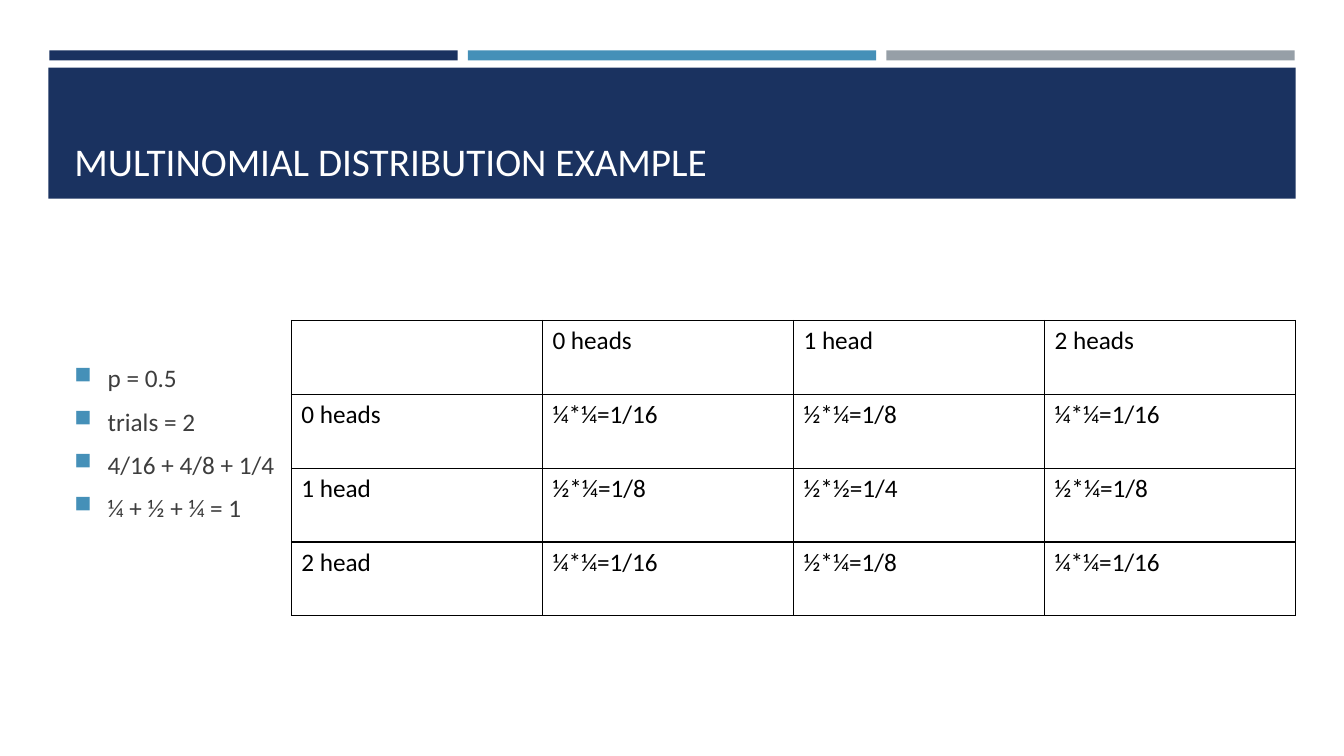
from lxml.etree import SubElement
from pptx import Presentation
from pptx.dml.color import RGBColor
from pptx.enum.shapes import MSO_SHAPE as Shape
from pptx.enum.text import MSO_ANCHOR as Anchor
from pptx.oxml.ns import qn
from pptx.util import Inches, Pt

NAVY, BLUE, GRAY = "1A3260", "4590B8", "969FA7"
WHITE, BLACK, BODY = "FFFFFF", "000000", "3D3D3D"


def color(value):
    return RGBColor.from_string(value)


def write(paragraph, text, size, ink):
    run = paragraph.add_run()
    run.text = text
    font_format = {"name": "Calibri", "size": Pt(size)}
    for name, value in font_format.items():
        setattr(run.font, name, value)
    run.font.color.rgb = color(ink)


presentation = Presentation()
presentation.slide_width = Inches(13.33)
presentation.slide_height = Inches(7.5)
slide = presentation.slides.add_slide(presentation.slide_layouts[6])

strip_left, strip_width, strip_step = 0.49, 4.05, 4.15
bars = [
    (strip_left + column * strip_step, 0.5, strip_width, 0.1, fill)
    for column, fill in enumerate((NAVY, BLUE, GRAY))
]
bars.append((0.48, 0.67, 12.37, 1.3, NAVY))
for *box, fill in bars:
    shape = slide.shapes.add_shape(Shape.RECTANGLE, *map(Inches, box))
    shape.shadow.inherit = False
    shape.fill.solid()
    shape.fill.fore_color.rgb = color(fill)
    shape.line.fill.background()

frames = []
for top, height, anchor in ((0.77, 1.11, Anchor.BOTTOM), (2.38, 4.02, Anchor.MIDDLE)):
    text_box = slide.shapes.add_textbox(
        Inches(0.64), Inches(top), Inches(12.06), Inches(height)
    )
    frame_format = {"word_wrap": True, "vertical_anchor": anchor}
    for name, value in frame_format.items():
        setattr(text_box.text_frame, name, value)
    frames.append(text_box.text_frame)
title, body = frames
write(title.paragraphs[0], "MULTINOMIAL DISTRIBUTION EXAMPLE", 28, WHITE)

bullets = ["p = 0.5", "trials = 2", "4/16 + 4/8 + 1/4", "¼ + ½ + ¼ = 1"]
for index, text in enumerate(bullets):
    paragraph = body.add_paragraph() if index else body.paragraphs[0]
    paragraph.space_before = Pt(3.2)
    paragraph.space_after = Pt(6)
    properties = paragraph._p.get_or_add_pPr()
    properties.set("marL", str(Inches(0.33)))
    properties.set("indent", str(-Inches(0.33)))
    bullet_color = SubElement(properties, qn("a:buClr"))
    SubElement(bullet_color, qn("a:srgbClr"), val=BLUE)
    SubElement(properties, qn("a:buSzPct"), val="92000")
    SubElement(properties, qn("a:buChar"), char="■")
    write(paragraph, text, 18, BODY)

rows = [
    ["", "0 heads", "1 head", "2 heads"],
    ["0 heads", "¼*¼=1/16", "½*¼=1/8", "¼*¼=1/16"],
    ["1 head", "½*¼=1/8", "½*½=1/4", "½*¼=1/8"],
    ["2 head", "¼*¼=1/16", "½*¼=1/8", "¼*¼=1/16"],
]
table = slide.shapes.add_table(
    len(rows), len(rows[0]), Inches(2.89), Inches(3.18), Inches(9.96), Inches(2.93)
).table
table.first_row = table.horz_banding = False
for row, texts in enumerate(rows):
    for column, text in enumerate(texts):
        cell = table.cell(row, column)
        properties = cell._tc.get_or_add_tcPr()
        for side in ("lnL", "lnR", "lnT", "lnB"):
            border = SubElement(properties, qn(f"a:{side}"), w=str(Pt(1)))
            border_fill = SubElement(border, qn("a:solidFill"))
            SubElement(border_fill, qn("a:srgbClr"), val=BLACK)
        cell.fill.background()
        if text:
            write(cell.text_frame.paragraphs[0], text, 18, BLACK)

presentation.save("out.pptx")
